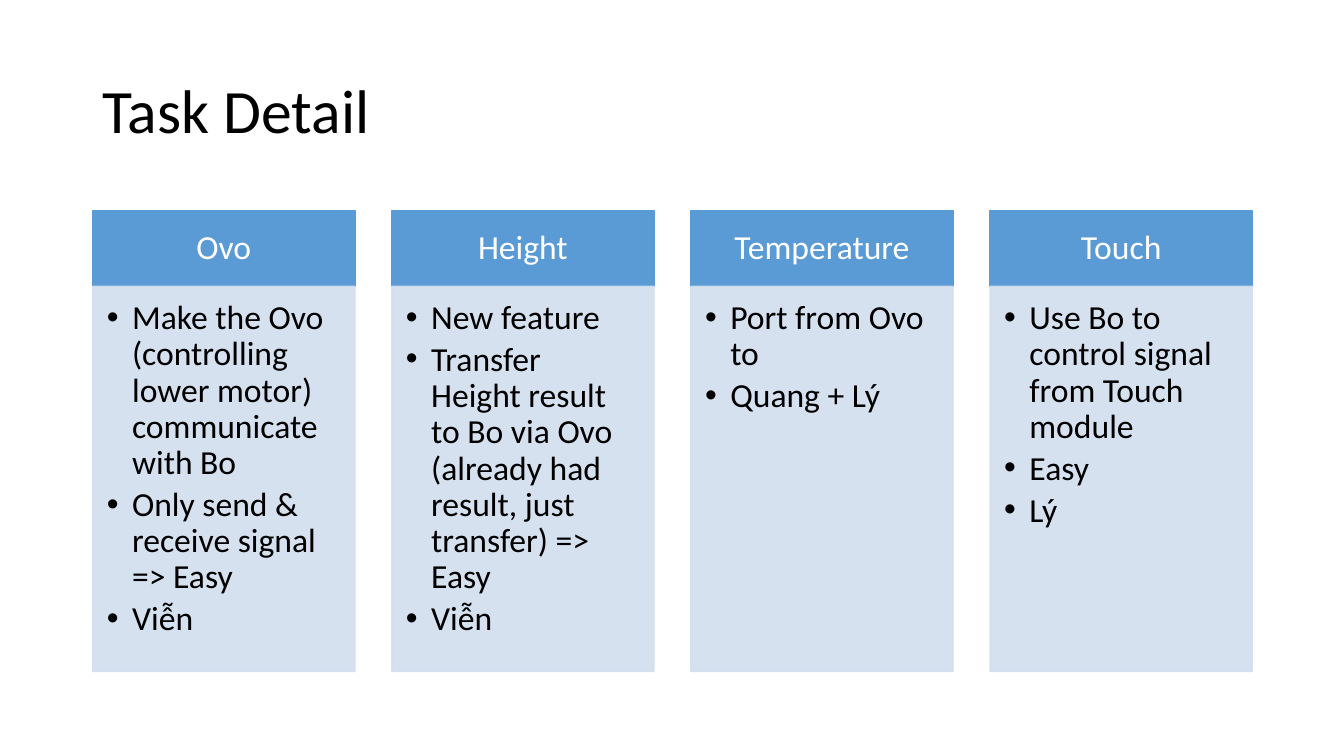
from lxml import etree
from pptx import Presentation, util as u
from pptx.dml.color import RGBColor
from pptx.enum import shapes, text
from pptx.oxml.ns import qn

BLUE, PALE_BLUE, WHITE, BLACK = "5B9BD5", "D2DEEF", "FFFFFF", "000000"
MARGIN, CONTENT_WIDTH, COLUMN_WIDTH = 0.92, 11.5, 2.6
HEADER_TOP, HEADER_HEIGHT, BODY_HEIGHT = 2.09, 0.75, 3.82

TASKS = {
    "Ovo": [
        "Make the Ovo (controlling lower motor) communicate with Bo",
        "Only send & receive signal => Easy",
        "Viễn",
    ],
    "Height": [
        "New feature",
        "Transfer Height result to Bo via Ovo (already had result, just transfer) => Easy",
        "Viễn",
    ],
    "Temperature": ["Port from Ovo to", "Quang + Lý"],
    "Touch": ["Use Bo to control signal from Touch module", "Easy", "Lý"],
}
COLUMN_STEP = (CONTENT_WIDTH - COLUMN_WIDTH) / (len(TASKS) - 1)


def write(shape, lines, size, color, anchor, align, margins):
    """Fill a shape with one paragraph per line; margins run left, top, right, bottom."""
    frame = shape.text_frame
    frame.word_wrap = True
    frame.vertical_anchor = anchor
    (frame.margin_left, frame.margin_top,
     frame.margin_right, frame.margin_bottom) = map(u.Inches, margins)
    frame.text = "\n".join(lines)
    for paragraph in frame.paragraphs:
        paragraph.alignment = align
        paragraph.line_spacing = 0.9
        font = paragraph.runs[0].font
        font.name, font.size = "Calibri", u.Pt(size)
        font.color.rgb = RGBColor.from_string(color)


def add_box(slide, left, top, height, color, opacity):
    box = slide.shapes.add_shape(
        shapes.MSO_SHAPE.RECTANGLE, u.Inches(left), u.Inches(top),
        u.Inches(COLUMN_WIDTH), u.Inches(height))
    box.shadow.inherit = False
    box.fill.solid()
    box.line.width = u.Pt(1)
    for paint in (box.fill.fore_color, box.line.color):
        paint.rgb = RGBColor.from_string(color)
    if opacity < 100:
        for swatch in box._element.spPr.iter(qn("a:srgbClr")):
            etree.SubElement(swatch, qn("a:alpha"), val=str(opacity * 1000))
    return box


presentation = Presentation()
presentation.slide_width = u.Inches(13.33)
presentation.slide_height = u.Inches(7.5)
slide = presentation.slides.add_slide(presentation.slide_layouts[6])

title = slide.shapes.add_textbox(
    u.Inches(MARGIN), u.Inches(0.4), u.Inches(CONTENT_WIDTH), u.Inches(1.45))
write(title, ["Task Detail"], 44, BLACK, text.MSO_ANCHOR.MIDDLE,
      text.PP_ALIGN.LEFT, (0.1, 0.05, 0.1, 0.05))

for column, (name, details) in enumerate(TASKS.items()):
    left = MARGIN + column * COLUMN_STEP
    header = add_box(slide, left, HEADER_TOP, HEADER_HEIGHT, BLUE, 100)
    write(header, [name], 24, WHITE, text.MSO_ANCHOR.MIDDLE,
          text.PP_ALIGN.CENTER, (0.19, 0.11, 0.19, 0.11))

    body = add_box(slide, left, HEADER_TOP + HEADER_HEIGHT, BODY_HEIGHT, PALE_BLUE, 90)
    write(body, details, 24, BLACK, text.MSO_ANCHOR.TOP,
          text.PP_ALIGN.LEFT, (0.14, 0.14, 0.19, 0.21))
    for paragraph in body.text_frame.paragraphs:
        paragraph.space_after = u.Pt(4)
        properties = paragraph._p.get_or_add_pPr()
        properties.set("marL", str(u.Inches(0.25)))
        properties.set("indent", str(u.Inches(-0.25)))
        etree.SubElement(properties, qn("a:buFont"), typeface="Arial")
        etree.SubElement(properties, qn("a:buChar"), char="•")

presentation.save("out.pptx")
